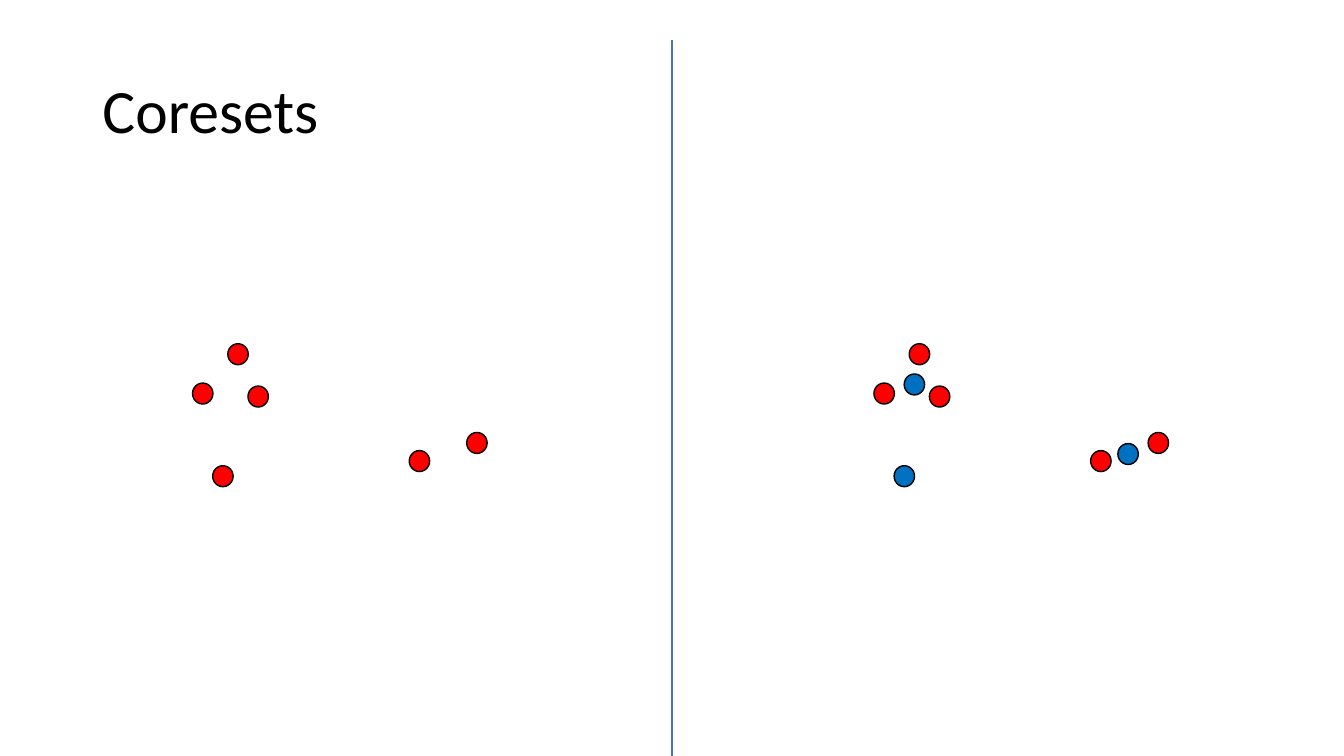
from pptx import Presentation
from pptx.dml.color import RGBColor
from pptx.enum.shapes import MSO_CONNECTOR as Connector, MSO_SHAPE as Shape
from pptx.enum.text import MSO_ANCHOR as Anchor, MSO_AUTO_SIZE as AutoSize, PP_ALIGN as Align
from pptx.oxml.ns import qn
from pptx.util import Pt
from lxml.etree import SubElement

RED, BLUE, BLACK, DIVIDER = "FF0000", "0070C0", "000000", "4472C4"
PANEL_SHIFT = 486.72
CLUSTER_POINTS = [
    (162.72, 245.52), (137.52, 273.6), (333.36, 308.88),
    (292.32, 321.84), (177.12, 275.76),
]
OUTLIER = (151.92, 332.64)
CENTERS = [(159.12, 267.12), (311.76, 316.8)]


def color(value):
    return RGBColor.from_string(value)


class SlideBuilder:
    font_name = "Calibri"
    title_size = 44
    line_width = 1
    dot_size = (14.6, 15)

    def __init__(self, slide):
        self.slide = slide

    def title(self, text, left, top, width, height):
        shape = self.slide.shapes.title
        shape.left, shape.top = Pt(left), Pt(top)
        shape.width, shape.height = Pt(width), Pt(height)
        frame = shape.text_frame
        frame.text = text
        frame.word_wrap = True
        frame.auto_size = AutoSize.NONE
        frame.vertical_anchor = Anchor.MIDDLE
        paragraph = frame.paragraphs[0]
        paragraph.alignment = Align.LEFT
        paragraph.line_spacing = 0.9
        font = paragraph.runs[0].font
        font.name = self.font_name
        font.size = Pt(self.title_size)
        font.color.rgb = color(BLACK)

    def dot(self, left, top, fill):
        width, height = self.dot_size
        shape = self.slide.shapes.add_shape(Shape.OVAL, Pt(left), Pt(top), Pt(width), Pt(height))
        shape.shadow.inherit = False
        shape.fill.solid()
        shape.fill.fore_color.rgb = color(fill)
        shape.line.color.rgb = color(BLACK)
        shape.line.width = Pt(self.line_width)

    def line(self, start, end, stroke):
        connector = self.slide.shapes.add_connector(
            Connector.STRAIGHT, *(Pt(value) for value in start + end))
        connector.line.color.rgb = color(stroke)
        connector.line.width = Pt(self.line_width)
        SubElement(connector._element.spPr, qn("a:effectLst"))


def main():
    presentation = Presentation()
    presentation.slide_width, presentation.slide_height = Pt(960), Pt(540)
    builder = SlideBuilder(presentation.slides.add_slide(presentation.slide_layouts[5]))

    builder.title("Coresets", 66, 28.75, 828, 104.4)
    for shift, outlier_fill in ((0, RED), (PANEL_SHIFT, BLUE)):
        for left, top in CLUSTER_POINTS:
            builder.dot(left + shift, top, RED)
        builder.dot(OUTLIER[0] + shift, OUTLIER[1], outlier_fill)
    builder.line((480, 28.75), (480, 540), DIVIDER)
    for left, top in CENTERS:
        builder.dot(left + PANEL_SHIFT, top, BLUE)

    presentation.save("out.pptx")


if __name__ == "__main__":
    main()
